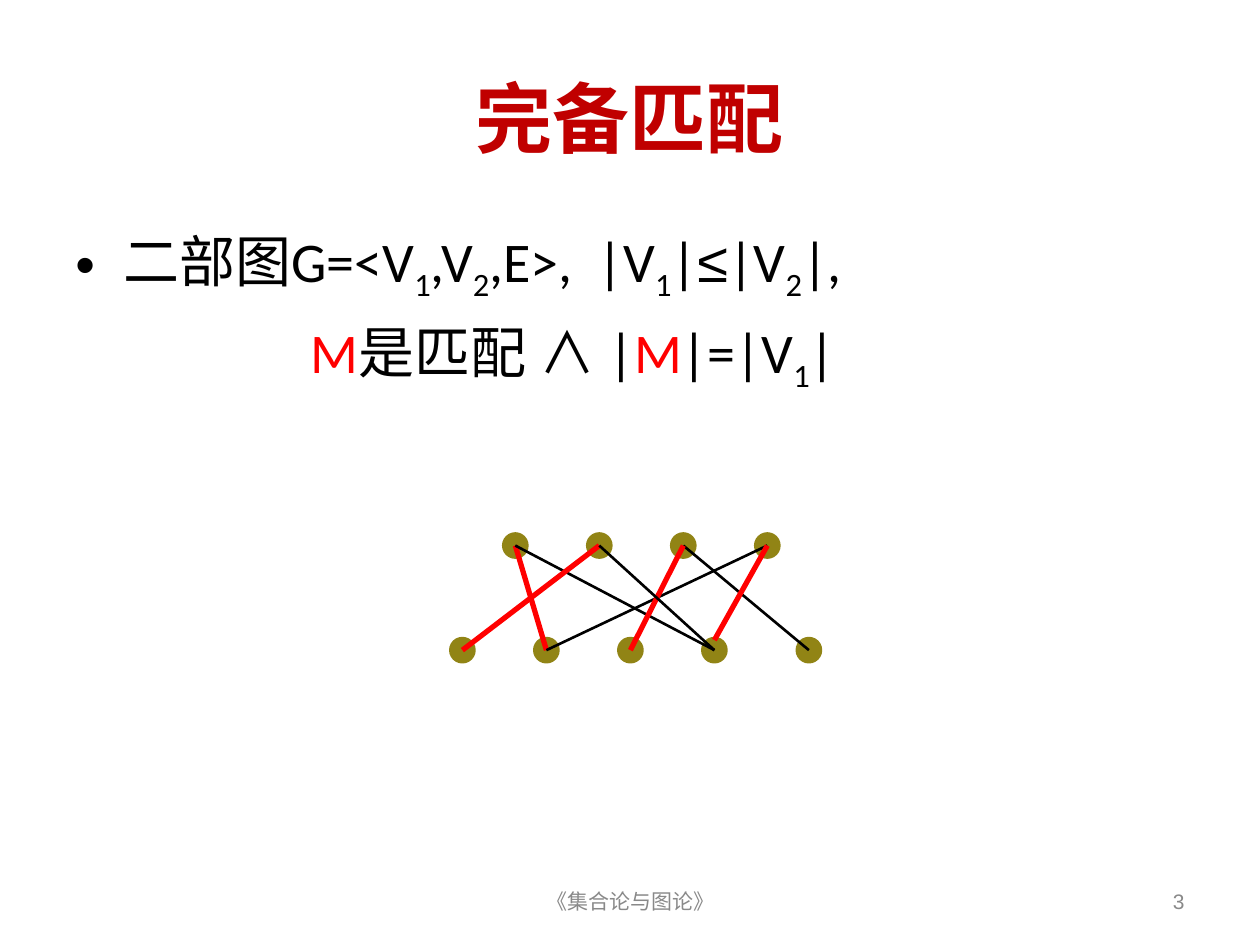
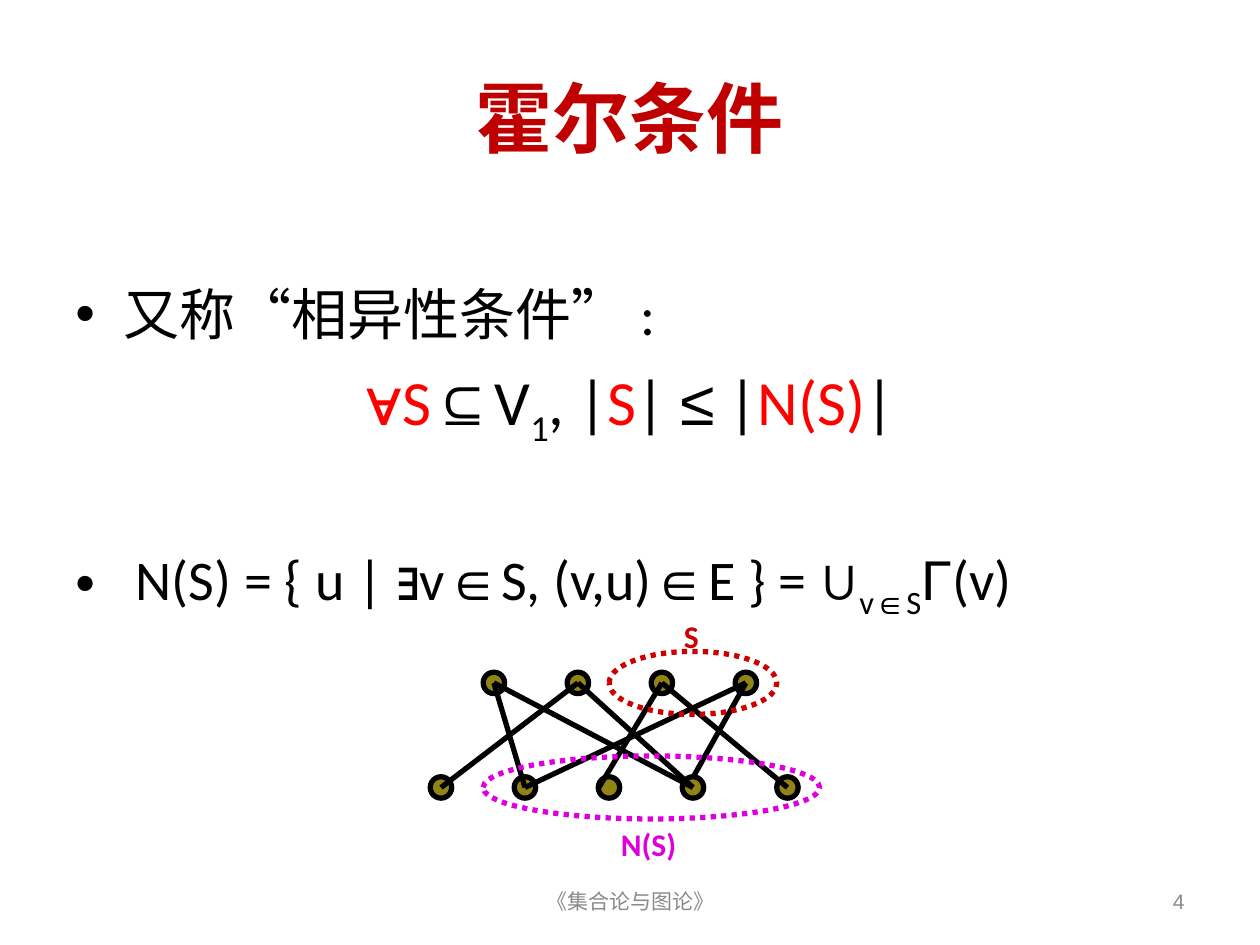
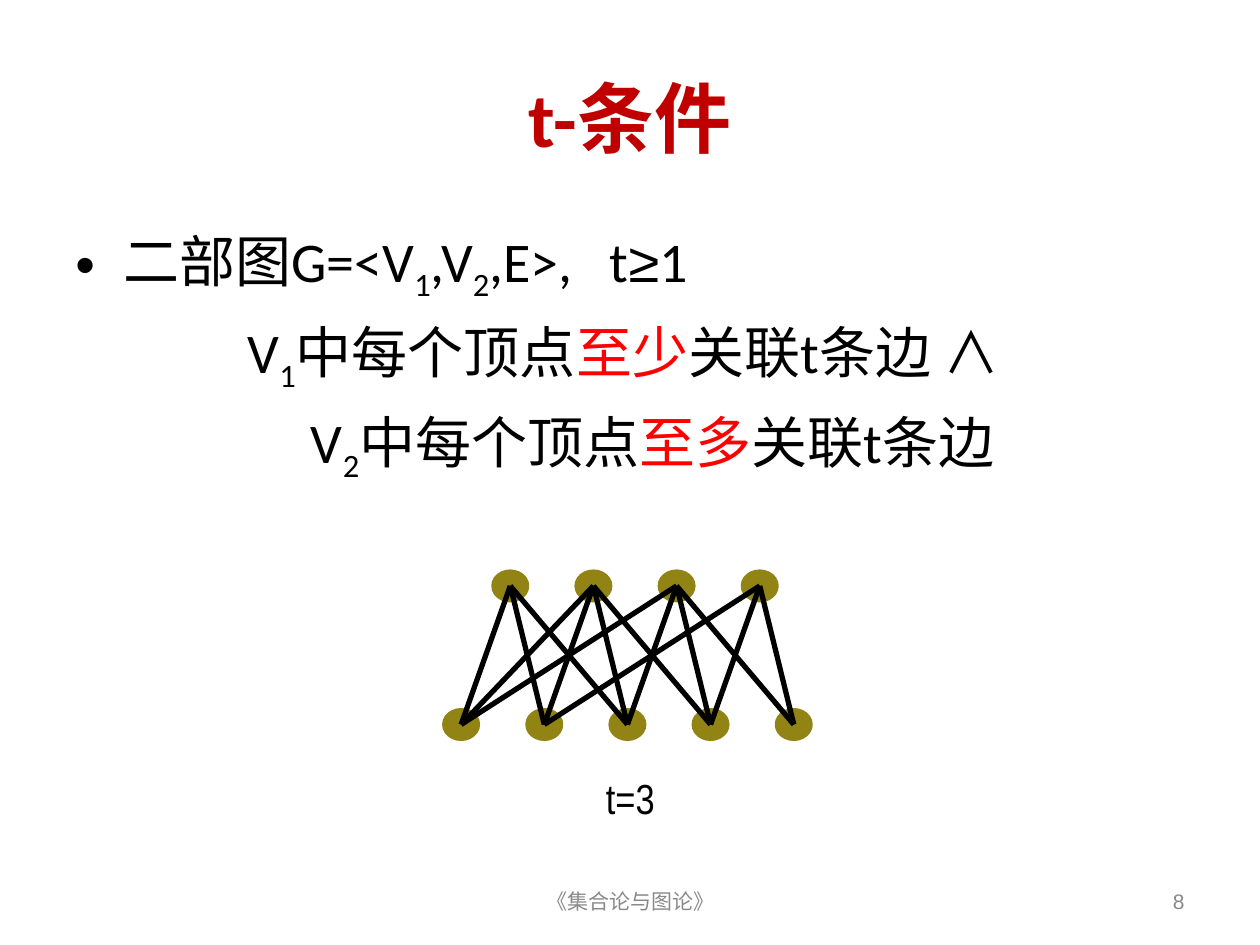
from pptx import Presentation
from pptx import util as u
from pptx.dml.color import RGBColor
from pptx.enum import dml, shapes, text
from pptx.oxml import xmlchemy
from pptx.oxml.ns import qn
from lxml import etree

BLACK, RED, TITLE, GREY = "000000", "FF0000", "C00000", "898989"
VERTEX, SET_S, SET_N = "918415", "CC0000", "DD00DD"

# Span formats used in the formulas
SUB = {"baseline": "-25000"}
SYMBOL = {"name": "Arial"}
HOT = {"color": RED}


def color(value):
    return RGBColor.from_string(value)


def wide_space(points):
    """One space widened by the given number of points."""
    return " ", {"spc": str(points * 100)}


# ---- Text ----
def add_span(para, words, style):
    span = para.add_run()
    span.text = words
    style = dict(style)
    span.font.color.rgb = color(style.pop("color", BLACK))
    for key in ("baseline", "spc"):
        if key in style:
            span._r.get_or_add_rPr().set(key, style.pop(key))
    for key, value in style.items():
        setattr(span.font, key, value)


def set_indent(para, left, first, bullet):
    props = para._p.get_or_add_pPr()
    props.set("marL", str(u.Inches(left)))
    props.set("indent", str(u.Inches(first)))
    if bullet:
        etree.SubElement(props, qn("a:buFont")).set("typeface", "Arial")
        etree.SubElement(props, qn("a:buChar")).set("char", "•")


def add_text(page, box, paras, anchor=text.MSO_ANCHOR.TOP):
    """Each paragraph is a dict: spans, size, base style, indent and format."""
    frame = page.shapes.add_textbox(*map(u.Inches, box)).text_frame
    frame.word_wrap = True
    frame.vertical_anchor = anchor
    for index, content in enumerate(paras):
        para = frame.paragraphs[0] if index == 0 else frame.add_paragraph()
        if "indent" in content:
            set_indent(para, *content["indent"], content.get("bullet", False))
        for key, value in content.get("format", {}).items():
            setattr(para, key, value)
        base = {"name": "Calibri", "size": u.Pt(content["size"]),
                **content.get("style", {})}
        for words, style in content["spans"]:
            add_span(para, words, {**base, **style})


def body_line(spans, indent=(0.38, -0.38), before=8, size=32, center=False):
    layout = {"space_before": u.Pt(before)}
    if center:
        layout["alignment"] = text.PP_ALIGN.CENTER
    return {"spans": spans, "size": size, "indent": indent, "format": layout}


def bullet_line(spans, left=0.38, before=0):
    return {**body_line(spans, (left, -left), before), "bullet": True}


def add_label(page, box, words, size, **style):
    add_text(page, box, [{"spans": [(words, {})], "size": size, "style": style}])


# ---- Parts shared by all pages ----
def add_page(deck, title, number):
    page = deck.slides.add_slide(deck.slide_layouts[6])
    align = text.PP_ALIGN
    small = {"name": "Arial", "color": GREY}
    for box, words, size, style, side in (
        ((0.5, 0.3, 9, 1.25), title, 44, {"bold": True, "color": TITLE}, align.CENTER),
        ((3.42, 6.95, 3.17, 0.4), "《集合论与图论》", 12, small, align.CENTER),
        ((7.17, 6.95, 2.33, 0.4), number, 12, small, align.RIGHT),
    ):
        content = {"spans": [(words, {})], "size": size, "style": style,
                   "format": {"alignment": side}}
        add_text(page, box, [content], text.MSO_ANCHOR.MIDDLE)
    return page


# ---- Graph parts ----
def add_ellipse(page, center, size, line, fill=None, dash=None):
    box = [center[0] - size[0] / 2, center[1] - size[1] / 2, *size]
    oval = page.shapes.add_shape(shapes.MSO_SHAPE.OVAL, *map(u.Inches, box))
    oval.shadow.inherit = False
    if fill:
        oval.fill.solid()
        oval.fill.fore_color.rgb = color(fill)
    else:
        oval.fill.background()
    oval.line.color.rgb = color(line)
    oval.line.width = u.Pt(3)
    if dash:
        oval.line.dash_style = dash


def add_edge(page, start, end, line, width):
    edge = page.shapes.add_connector(
        shapes.MSO_CONNECTOR.STRAIGHT, *map(u.Inches, (*start, *end)))
    edge.line.color.rgb = color(line)
    edge.line.width = u.Pt(width)
    etree.SubElement(edge._element.spPr, qn("a:effectLst"))


def add_graph(page, upper, lower, edges, size=(0.17, 0.17), outline=VERTEX,
              width=3, matching=(), nudges=None):
    """Edges are (upper, lower) index pairs; nudges shift their lower ends."""
    for center in upper + lower:
        add_ellipse(page, center, size, outline, VERTEX)
    for pair in edges:
        shift = (nudges or {}).get(pair, (0, 0))
        end = [place + move for place, move in zip(lower[pair[1]], shift)]
        line, weight = (RED, 3) if pair in matching else (BLACK, width)
        add_edge(page, upper[pair[0]], end, line, weight)


def hall_vertices(left, top):
    """Four upper and five lower vertices; the last lower one stands apart."""
    step = 2 / 3
    upper = [(left + 0.42 + step * i, top) for i in range(4)]
    lower = [(left + step * i, top + 0.83) for i in range(4)]
    return upper, lower + [(left + 2.75, top + 0.83)]


HALL_EDGES = [(0, 1), (0, 3), (2, 4), (1, 0), (3, 1), (2, 2), (3, 3), (1, 3)]
SHORT_EDGE = {(3, 3): (0, -0.08)}
BIPARTITE = [("二部图G=<V", {}), ("1", SUB), (",V", {}), ("2", SUB)]


# ---- Pages ----
def complete_matching(deck):
    page = add_page(deck, "完备匹配", "3")
    add_text(page, (0.5, 1.75, 9, 4.95), [
        bullet_line(BIPARTITE + [
            (",E>,", {}), wide_space(7), ("|V", {}), ("1", SUB), ("|", {}),
            ("≤", SYMBOL), ("|V", {}), ("2", SUB), ("|,", {})]),
        body_line([
            ("M", HOT), ("是匹配 ", {}), ("∧ ", SYMBOL), ("|", {}),
            ("M", HOT), ("|=|V", {}), ("1", SUB), ("|", {})], (1.87, 0)),
    ])
    upper, lower = hall_vertices(3.67, 4.33)
    add_graph(page, upper, lower, HALL_EDGES, width=1.5, nudges=SHORT_EDGE,
              matching=[(0, 1), (1, 0), (2, 2), (3, 3)])


def hall_condition(deck):
    page = add_page(deck, "霍尔条件", "4")
    add_text(page, (0.5, 2.17, 9, 3.62), [
        bullet_line([("又称“相异性条件” :", {})]),
        body_line([
            ("∀", {**SYMBOL, **HOT}), ("S", HOT), ("⊆", SYMBOL), ("V", {}),
            ("1", SUB), (", |", {}), ("S", HOT), ("| ", {}), ("≤", SYMBOL),
            (" |", {}), ("N(S)", HOT), ("|", {})], before=9, size=36, center=True),
        bullet_line([
            ("N(S) = { u | ", {}), ("∃", SYMBOL), ("v", {}), ("∈", SYMBOL),
            ("S, (v,u)", {}), ("∈", SYMBOL), ("E } = ", {}), ("∪", SYMBOL),
            ("v", SUB), ("∈", {**SYMBOL, **SUB}), ("S", SUB),
            ("Γ", SYMBOL), ("(v)", {})], left=0.48, before=55),
    ])
    upper, lower = hall_vertices(3.5, 5.42)
    add_graph(page, upper, lower, HALL_EDGES, outline=BLACK,
              nudges={**SHORT_EDGE, (2, 2): (-0.08, 0)})
    # Vertex set S and its neighbourhood
    for center, size, line, name, corner in (
        ((5.5, 5.42), (1.33, 0.5), SET_S, "S", (5.33, 4.85)),
        ((5.17, 6.25), (2.67, 0.5), SET_N, "N(S)", (4.83, 6.5)),
    ):
        add_ellipse(page, center, size, line, dash=dml.MSO_LINE.ROUND_DOT)
        add_label(page, (*corner, 0.83, 0.4), name, 18, bold=True, color=line)


def t_condition(deck):
    page = add_page(deck, "t-条件", "8")
    add_text(page, (0.5, 1.75, 9, 4.95), [
        bullet_line(BIPARTITE + [
            (",E>,", {}), wide_space(14), ("t", {}), ("≥", SYMBOL), ("1", {})]),
        body_line([
            ("V", {}), ("1", SUB), ("中每个顶点", {}), ("至少", HOT),
            ("关联t条边 ", {}), ("∧ ", SYMBOL)], center=True),
        body_line([
            ("V", {}), ("2", SUB), ("中每个顶点", {}), ("至多", HOT),
            ("关联t条边", {})], (1.87, 0)),
    ])
    upper = [(4.05 + 0.66 * i, 4.65) for i in range(4)]
    lower = [(3.66 + 0.66 * i, 5.75) for i in range(5)]
    # Each upper vertex joins the next lower ones, plus three crossing edges
    edges = [(i, i + step) for step in range(3) for i in range(4) if i + step < 5]
    add_graph(page, upper, lower, edges + [(3, 1), (2, 0), (1, 0)], (0.26, 0.22))
    add_label(page, (4.71, 6.08, 1.18, 0.5), "t=3", 24, name="Arial Narrow")


def main():
    deck = Presentation()
    deck.slide_width, deck.slide_height = u.Inches(10), u.Inches(7.5)
    for build in (complete_matching, hall_condition, t_condition):
        build(deck)
    deck.save("out.pptx")


if __name__ == "__main__":
    main()
